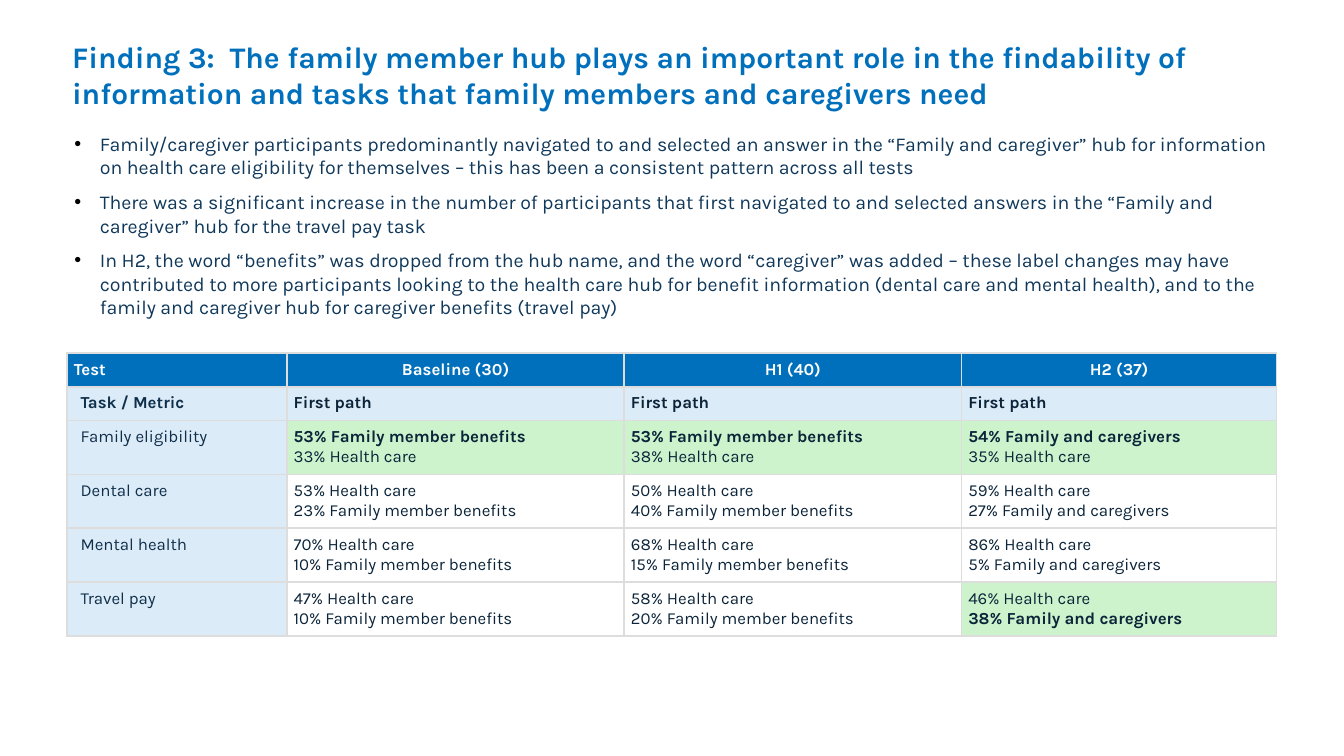
from dataclasses import dataclass

from lxml.etree import SubElement
from pptx import Presentation
from pptx.dml.color import RGBColor
from pptx.enum.text import MSO_ANCHOR, PP_ALIGN
from pptx.oxml.ns import qn
from pptx.util import Inches, Pt

SLIDE_WIDTH = Inches(10)
SLIDE_HEIGHT = SLIDE_WIDTH * 9 // 16
FONT = "Karla"
BLUE, PALE_BLUE, GREEN, WHITE = "0070BC", "DCEBF8", "CDF3CD", "FFFFFF"
BODY_NAVY, LABEL_NAVY, VALUE_NAVY = "10385A", "0F2F4A", "0B2439"
BORDER = "DDDDDD"

TITLE = ("Finding 3:  The family member hub plays an important role in the findability of "
         "information and tasks that family members and caregivers need")
FINDINGS = [
    "Family/caregiver participants predominantly navigated to and selected an answer in the "
    "“Family and caregiver” hub for information on health care eligibility for themselves – "
    "this has been a consistent pattern across all tests",
    "There was a significant increase in the number of participants that first navigated to and "
    "selected answers in the “Family and caregiver” hub for the travel pay task",
    "In H2, the word “benefits” was dropped from the hub name, and the word “caregiver” was "
    "added – these label changes may have contributed to more participants looking to the health "
    "care hub for benefit information (dental care and mental health), and to the family and "
    "caregiver hub for caregiver benefits (travel pay)",
]
TESTS = ["Baseline (30)", "H1 (40)", "H2 (37)"]
HUBS = ["Family member benefits", "Family member benefits", "Family and caregivers"]
COLUMN_SHARES = [16.35, 25.1, 25.1, 23.45]
HEADER_ROW_SHARE, TASK_ROW_SHARE = 4.45, 7.12


@dataclass
class Task:
    """Shares of first paths per test, as (health care, family hub) percentages."""
    name: str
    results: list[tuple[int, int]]
    family_first: bool = False
    highlighted: tuple[int, ...] = ()


@dataclass
class CellStyle:
    fill: str
    color: str
    side_margin: float = 0.05
    align: PP_ALIGN = PP_ALIGN.LEFT


TASKS = [
    Task("Family eligibility", [(33, 53), (38, 53), (35, 54)], True, (0, 1, 2)),
    Task("Dental care", [(53, 23), (50, 40), (59, 27)]),
    Task("Mental health", [(70, 10), (68, 15), (86, 5)]),
    Task("Travel pay", [(47, 10), (58, 20), (46, 38)], highlighted=(2,)),
]
LABEL = CellStyle(PALE_BLUE, LABEL_NAVY, side_margin=0.1)


def across(percent: float) -> int:
    return round(SLIDE_WIDTH * percent / 100)


def down(percent: float) -> int:
    return round(SLIDE_HEIGHT * percent / 100)


def rgb(color: str) -> RGBColor:
    return RGBColor.from_string(color)


def set_font(paragraph, size: float, color: str, bold: bool = False) -> None:
    font = paragraph.font
    font.name, font.size, font.bold = FONT, Pt(size), bold
    font.color.rgb = rgb(color)


def add_text_frame(slide, left: float, top: float, width: float, height: float):
    box = slide.shapes.add_textbox(across(left), down(top), across(width), down(height))
    box.text_frame.word_wrap = True
    return box.text_frame


def add_title(slide) -> None:
    frame = add_text_frame(slide, 4.96, 4.45, 93.4, 12.1)
    frame.margin_left = frame.margin_right = Inches(0.04)
    frame.margin_top = frame.margin_bottom = Inches(0.04)
    frame.text = TITLE
    set_font(frame.paragraphs[0], 16, BLUE, bold=True)


def add_bullet(paragraph) -> None:
    properties = paragraph._p.get_or_add_pPr()
    properties.set("marL", str(Inches(0.19)))
    properties.set("indent", str(-Inches(0.19)))
    color = SubElement(properties, qn("a:buClr"))
    SubElement(color, qn("a:srgbClr"), val="000000")
    SubElement(properties, qn("a:buFont"), typeface="Arial")
    SubElement(properties, qn("a:buChar"), char="•")


def add_findings(slide) -> None:
    frame = add_text_frame(slide, 4.55, 16.55, 90.9, 26.87)
    for index, finding in enumerate(FINDINGS):
        paragraph = frame.paragraphs[0] if index == 0 else frame.add_paragraph()
        paragraph.text = finding
        add_bullet(paragraph)
        if index:
            paragraph.space_before = Pt(6)
        set_font(paragraph, 10.5, BODY_NAVY)


def add_borders(cell) -> None:
    properties = cell._tc.get_or_add_tcPr()
    for position, side in enumerate(("a:lnL", "a:lnR", "a:lnT", "a:lnB")):
        line = properties.makeelement(qn(side), {"w": str(Pt(1))})
        properties.insert(position, line)
        fill = SubElement(line, qn("a:solidFill"))
        SubElement(fill, qn("a:srgbClr"), val=BORDER)


def fill_cell(cell, lines: list[tuple[str, bool]], style: CellStyle) -> None:
    """Write (text, bold) lines into a cell."""
    cell.margin_left = cell.margin_right = Inches(style.side_margin)
    cell.margin_top = cell.margin_bottom = Inches(0.05)
    cell.vertical_anchor = MSO_ANCHOR.TOP
    cell.fill.solid()
    cell.fill.fore_color.rgb = rgb(style.fill)
    add_borders(cell)
    cell.text = "\n".join(text for text, _ in lines)
    for paragraph, (_, bold) in zip(cell.text_frame.paragraphs, lines):
        paragraph.alignment = style.align
        set_font(paragraph, 9, style.color, bold)


def add_results_table(slide) -> None:
    row_shares = [HEADER_ROW_SHARE] * 2 + [TASK_ROW_SHARE] * len(TASKS)
    table = slide.shapes.add_table(
        len(row_shares), len(COLUMN_SHARES), across(5), down(46.7),
        across(sum(COLUMN_SHARES)), down(sum(row_shares))).table
    table.first_row = table.horz_banding = False
    for column, share in zip(table.columns, COLUMN_SHARES):
        column.width = across(share)
    for row, share in zip(table.rows, row_shares):
        row.height = down(share)

    fill_cell(table.cell(0, 0), [("Test", True)], CellStyle(BLUE, WHITE))
    fill_cell(table.cell(1, 0), [("Task / Metric", True)], LABEL)
    for column, test in enumerate(TESTS, start=1):
        fill_cell(table.cell(0, column), [(test, True)],
                  CellStyle(BLUE, WHITE, align=PP_ALIGN.CENTER))
        fill_cell(table.cell(1, column), [("First path", True)],
                  CellStyle(PALE_BLUE, VALUE_NAVY))

    for row, task in enumerate(TASKS, start=2):
        fill_cell(table.cell(row, 0), [(task.name, False)], LABEL)
        for test, (health_care, family) in enumerate(task.results):
            highlighted = test in task.highlighted
            lines = [(f"{health_care}% Health care", False),
                     (f"{family}% {HUBS[test]}", highlighted)]
            if task.family_first:
                lines.reverse()
            fill_cell(table.cell(row, test + 1), lines,
                      CellStyle(GREEN if highlighted else WHITE, VALUE_NAVY))


def main() -> None:
    presentation = Presentation()
    presentation.slide_width, presentation.slide_height = SLIDE_WIDTH, SLIDE_HEIGHT
    slide = presentation.slides.add_slide(presentation.slide_layouts[6])
    add_title(slide)
    add_findings(slide)
    add_results_table(slide)
    presentation.save("out.pptx")


if __name__ == "__main__":
    main()
